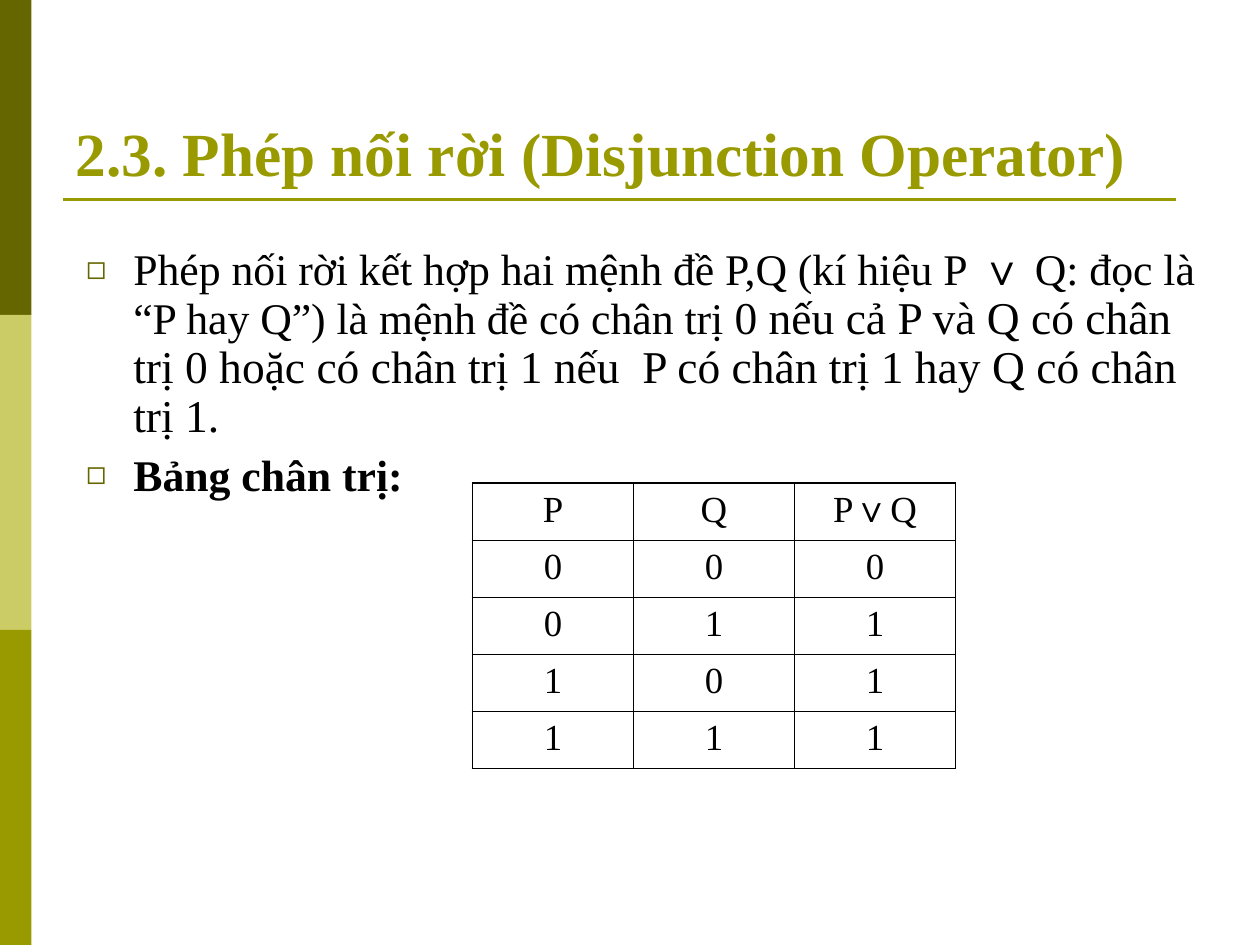
from dataclasses import dataclass

from lxml.etree import SubElement
from pptx import Presentation
from pptx.dml.color import RGBColor as Rgb
from pptx.enum.shapes import MSO_CONNECTOR as Connector, MSO_SHAPE as Preset
from pptx.enum.text import MSO_ANCHOR as Anchor, MSO_AUTO_SIZE as AutoSize, PP_ALIGN as Align
from pptx.oxml import parse_xml
from pptx.oxml.ns import nsdecls, qn
from pptx.util import Inches, Pt

GRID_COLUMNS, GRID_ROWS = 120, 90
SLIDE_WIDTH, SLIDE_HEIGHT = Inches(10), Inches(7.5)


@dataclass(frozen=True)
class Theme:
    dark: str = "666600"
    light: str = "CCCC66"
    accent: str = "999900"
    ink: str = "000000"
    serif: str = "Times New Roman"
    sans: str = "Arial"
    title_size: float = 35
    body_size: float = 25
    emphasis_size: float = 26
    table_size: float = 21
    rule_width: float = 1.5
    outer_border: float = 1.08
    inner_border: float = 0.45


THEME = Theme()


@dataclass(frozen=True)
class Area:
    column: float
    row: float
    columns: float
    rows: float

    def lengths(self) -> tuple:
        return (across(self.column), down(self.row), across(self.columns), down(self.rows))


@dataclass(frozen=True)
class Span:
    text: str
    size: float
    font: str = THEME.serif
    bold: bool = False
    color: str = THEME.ink


@dataclass(frozen=True)
class Bullet:
    space_before: float
    spans: tuple


def across(columns: float) -> int:
    return round(SLIDE_WIDTH * columns / GRID_COLUMNS)


def down(rows: float) -> int:
    return round(SLIDE_HEIGHT * rows / GRID_ROWS)


TITLE_AREA = Area(6, 3.6, 108, 15)
BODY_AREA = Area(7, 23, 110, 39)
TABLE_AREA = Area(45, 46, 46, 27.2)
BANDS = [Area(0, 30 * index, 3, 30) for index in range(3)]
RULE = Area(6, 19, 106, 0)

TITLE = Span("2.3. Phép nối rời (Disjunction Operator)", THEME.title_size, bold=True, color=THEME.accent)
BULLETS = (
    Bullet(6.5, (
        Span("Phép nối rời kết hợp hai mệnh đề P,Q (kí hiệu P", THEME.body_size),
        Span(" ∨", THEME.body_size, THEME.sans),
        Span(" Q: đọc là “P hay Q”) là mệnh đề có chân trị ", THEME.body_size),
        Span("0 nếu cả P và Q có chân trị 0 hoặc có chân trị 1 nếu  P có chân trị 1 hay Q có chân trị 1.",
             THEME.emphasis_size),
    )),
    Bullet(6.2, (Span("Bảng chân trị:", THEME.body_size, bold=True),)),
)
HEADINGS = (("P",), ("Q",), ("P", "∨", "Q"))
TRUTH_ROWS = [((str(p),), (str(q),), (str(p | q),)) for p in (0, 1) for q in (0, 1)]


def add_span(para, span: Span) -> None:
    run = para.add_run()
    run.text = span.text
    font = run.font
    font.size, font.name, font.bold = Pt(span.size), span.font, span.bold
    font.color.rgb = Rgb.from_string(span.color)


def place(box, area: Area, anchor) -> None:
    box.left, box.top, box.width, box.height = area.lengths()
    frame = box.text_frame
    frame.word_wrap = True
    frame.auto_size = AutoSize.NONE
    frame.vertical_anchor = anchor


def draw_band(slide, area: Area, color: str) -> None:
    band = slide.shapes.add_shape(Preset.RECTANGLE, *area.lengths())
    band.shadow.inherit = False
    band.fill.solid()
    band.fill.fore_color.rgb = Rgb.from_string(color)
    band.line.fill.background()


def draw_rule(slide, area: Area) -> None:
    left, top, width, height = area.lengths()
    rule = slide.shapes.add_connector(Connector.STRAIGHT, left, top, left + width, top + height)
    rule.line.color.rgb = Rgb.from_string(THEME.accent)
    rule.line.width = Pt(THEME.rule_width)
    SubElement(rule._element.spPr, qn("a:effectLst"))


def write_title(box, span: Span) -> None:
    place(box, TITLE_AREA, Anchor.BOTTOM)
    para = box.text_frame.paragraphs[0]
    para.alignment = Align.LEFT
    add_span(para, span)


def write_bullets(box, bullets: tuple) -> None:
    place(box, BODY_AREA, Anchor.TOP)
    frame = box.text_frame
    for index, bullet in enumerate(bullets):
        para = frame.add_paragraph() if index else frame.paragraphs[0]
        para.line_spacing = 0.9
        para.space_before = Pt(bullet.space_before)
        properties = para._p.get_or_add_pPr()
        indent = across(4.5)
        properties.set("marL", str(indent))
        properties.set("indent", str(-indent))
        color = SubElement(properties, qn("a:buClr"))
        SubElement(color, qn("a:srgbClr"), val=THEME.dark)
        SubElement(properties, qn("a:buSzPct"), val="75000")
        SubElement(properties, qn("a:buChar"), char="◻")
        for span in bullet.spans:
            add_span(para, span)


def set_borders(cell, outer: dict) -> None:
    properties = cell._tc.get_or_add_tcPr()
    for index, (side, is_outer) in enumerate(outer.items()):
        width = Pt(THEME.outer_border if is_outer else THEME.inner_border)
        properties.insert(index, parse_xml(
            f'<a:ln{side} {nsdecls("a")} w="{width}"><a:solidFill>'
            f'<a:srgbClr val="{THEME.ink}"/></a:solidFill></a:ln{side}>'))


def draw_table(slide, area: Area, content: list) -> None:
    last_row, last_column = len(content) - 1, len(content[0]) - 1
    table = slide.shapes.add_table(last_row + 1, last_column + 1, *area.lengths()).table
    table.first_row = table.horz_banding = False
    for column in table.columns:
        column.width = across(area.columns / (last_column + 1))
    for row in table.rows:
        row.height = down(area.rows / (last_row + 1))
    for row, texts in enumerate(content):
        for column, parts in enumerate(texts):
            cell = table.cell(row, column)
            cell.fill.background()
            set_borders(cell, {"L": column == 0, "R": column == last_column,
                               "T": row == 0, "B": row == last_row})
            para = cell.text_frame.paragraphs[0]
            para.alignment = Align.CENTER
            para.space_before = Pt(5.2)
            for part in parts:
                add_span(para, Span(part, THEME.table_size, THEME.sans if part == "∨" else THEME.serif))


def main() -> None:
    deck = Presentation()
    deck.slide_width, deck.slide_height = SLIDE_WIDTH, SLIDE_HEIGHT
    slide = deck.slides.add_slide(deck.slide_layouts[1])
    for area, color in zip(BANDS, (THEME.dark, THEME.light, THEME.accent)):
        draw_band(slide, area, color)
    draw_rule(slide, RULE)
    write_title(slide.shapes.title, TITLE)
    write_bullets(slide.placeholders[1], BULLETS)
    draw_table(slide, TABLE_AREA, [HEADINGS, *TRUTH_ROWS])
    deck.save("out.pptx")


if __name__ == "__main__":
    main()
